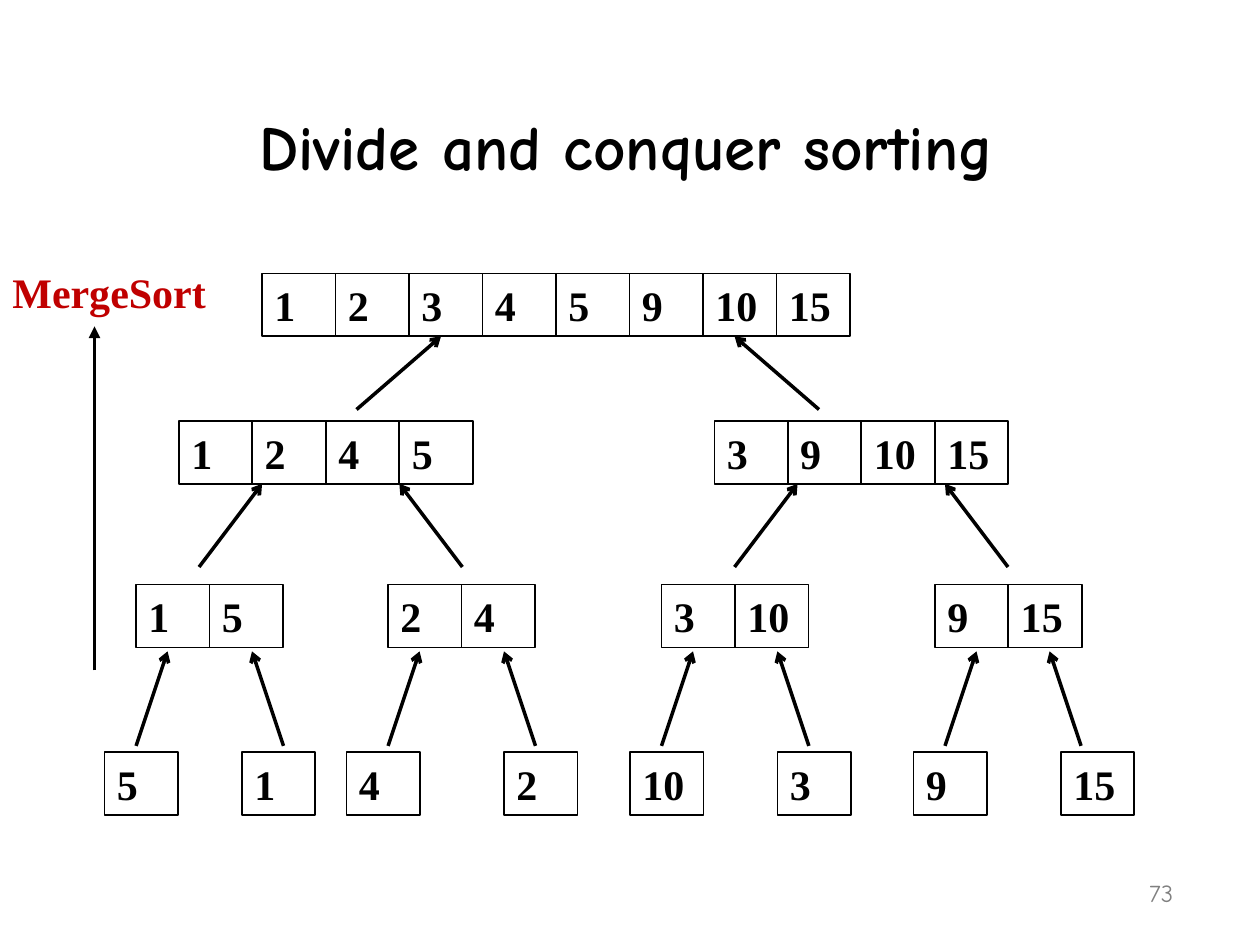
import pptx
import pptx.util
import pptx.dml.color
import pptx.enum.shapes
import pptx.enum.text
import pptx.oxml.ns
from lxml import etree

Inches = pptx.util.Inches
Pt = pptx.util.Pt
Align = pptx.enum.text.PP_ALIGN
Anchor = pptx.enum.text.MSO_ANCHOR
SERIF = "Times New Roman"
COMIC = "Comic Neue"
BLACK = "000000"
CELL = 7 / 12
HIGH = 0.5

ROWS = [
    (2.17, [(2.08, [1, 2, 3, 4, 5, 9, 10, 15])]),
    (3.34, [(1.42, [1, 2, 4, 5]), (5.67, [3, 9, 10, 15])]),
    (4.64, [(1.08, [1, 5]), (3.08, [2, 4]), (5.25, [3, 10]), (7.42, [9, 15])]),
    (5.97, [(0.83, [5]), (1.92, [1]), (2.75, [4]), (4, [2]),
            (5, [10]), (6.17, [3]), (7.25, [9]), (8.42, [15])]),
]

MERGES = [
    (2.67, 3.25, 0.67, [(3.5, 5.83)]),
    (3.84, 4.5, 0.5, [(2.08, 3.17), (6.33, 7.5)]),
    (5.17, 5.92, 0.25, [(1.33, 2), (3.33, 4), (5.5, 6.17), (7.75, 8.33)]),
]


def color(code):
    return pptx.dml.color.RGBColor.from_string(code)


def write(shape, text, size, font, code, bold=True, align=Align.LEFT, anchor=Anchor.TOP):
    frame = shape.text_frame
    frame.word_wrap = True
    frame.vertical_anchor = anchor
    para = frame.paragraphs[0]
    para.text = text
    para.alignment = align
    para.font.size = Pt(size)
    para.font.name = font
    para.font.bold = bold
    para.font.color.rgb = color(code)


def label(slide, left, top, width, height, *text, **style):
    box = slide.shapes.add_textbox(Inches(left), Inches(top), Inches(width), Inches(height))
    write(box, *text, **style)


def cell(slide, left, top, value):
    box = slide.shapes.add_shape(
        pptx.enum.shapes.MSO_SHAPE.RECTANGLE,
        Inches(left), Inches(top), Inches(CELL), Inches(HIGH))
    box.shadow.inherit = False
    box.fill.background()
    box.line.color.rgb = color(BLACK)
    box.line.width = Pt(1)
    write(box, str(value), 24, SERIF, BLACK)


def array(slide, left, top, values):
    for index, value in enumerate(values):
        cell(slide, left + index * CELL, top, value)


def arrow(slide, start, end, head="arrow", width=2):
    line = slide.shapes.add_connector(
        pptx.enum.shapes.MSO_CONNECTOR.STRAIGHT,
        *[Inches(value) for value in (*start, *end)])
    line.line.color.rgb = color(BLACK)
    line.line.width = Pt(width)
    qn = pptx.oxml.ns.qn
    etree.SubElement(line.line._get_or_add_ln(), qn("a:tailEnd"), type=head)
    etree.SubElement(line._element.spPr, qn("a:effectLst"))


def merge(slide, top, base, spread, left, right):
    arrow(slide, (left - spread, base), (left, top))
    arrow(slide, (right + spread, base), (right, top))


def main():
    deck = pptx.Presentation()
    deck.slide_width = Inches(10)
    deck.slide_height = Inches(7.5)
    slide = deck.slides.add_slide(deck.slide_layouts[6])

    label(slide, 0.44, 0.25, 9.06, 1.25, "Divide and conquer sorting", 36, COMIC, BLACK,
          align=Align.CENTER, anchor=Anchor.BOTTOM)
    for top, arrays in ROWS:
        for left, values in arrays:
            array(slide, left, top, values)
    for top, base, spread, pairs in MERGES:
        for left, right in pairs:
            merge(slide, top, base, spread, left, right)
    arrow(slide, (0.75, 5.32), (0.75, 2.59), "triangle", 2.25)
    label(slide, 0, 2.07, 2.01, HIGH, "MergeSort", 24, SERIF, "C00000")
    label(slide, 7.33, 6.75, 2.08, 0.5, "73", 14, COMIC, "808080",
          bold=False, align=Align.RIGHT, anchor=Anchor.BOTTOM)
    deck.save("out.pptx")


if __name__ == "__main__":
    main()
